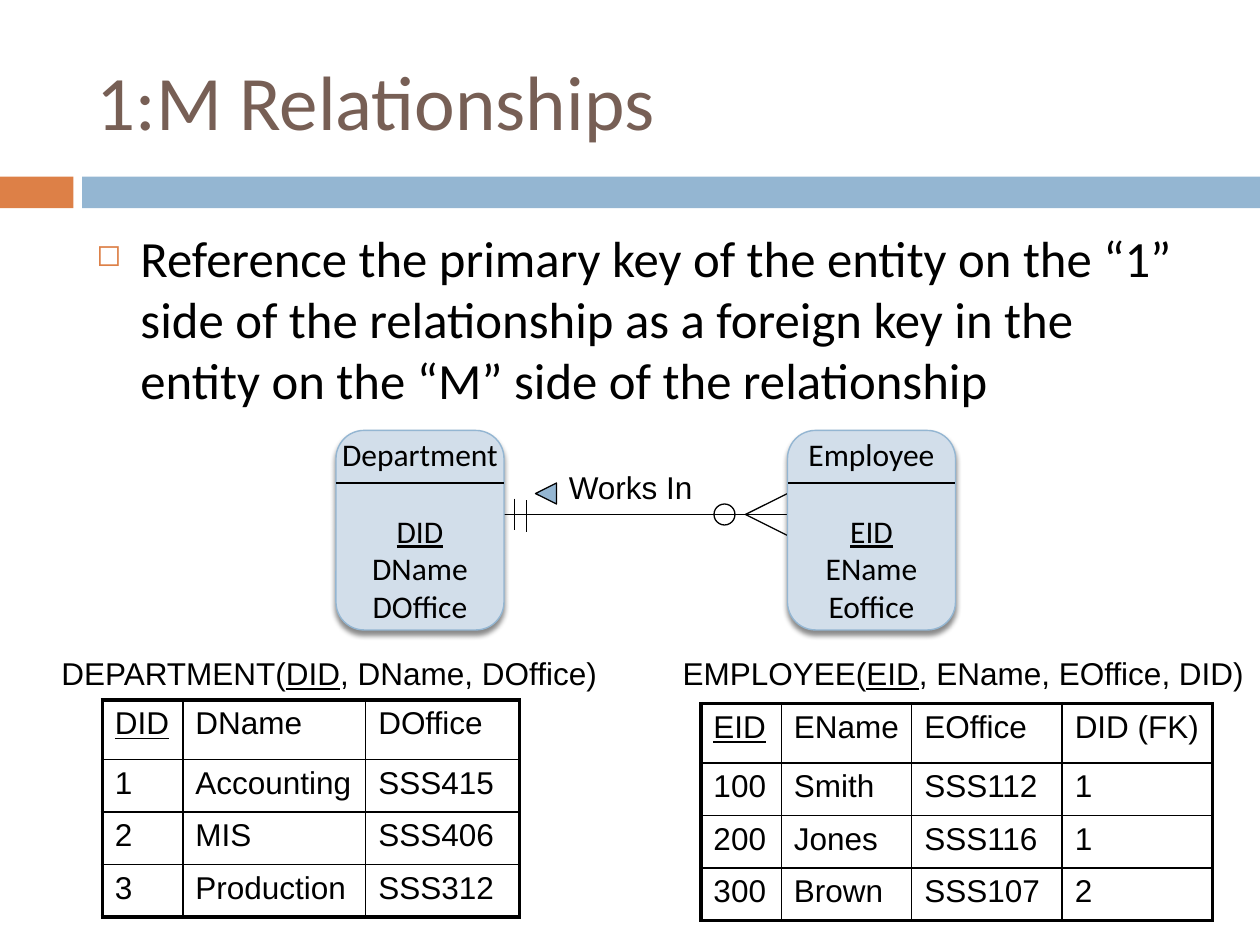
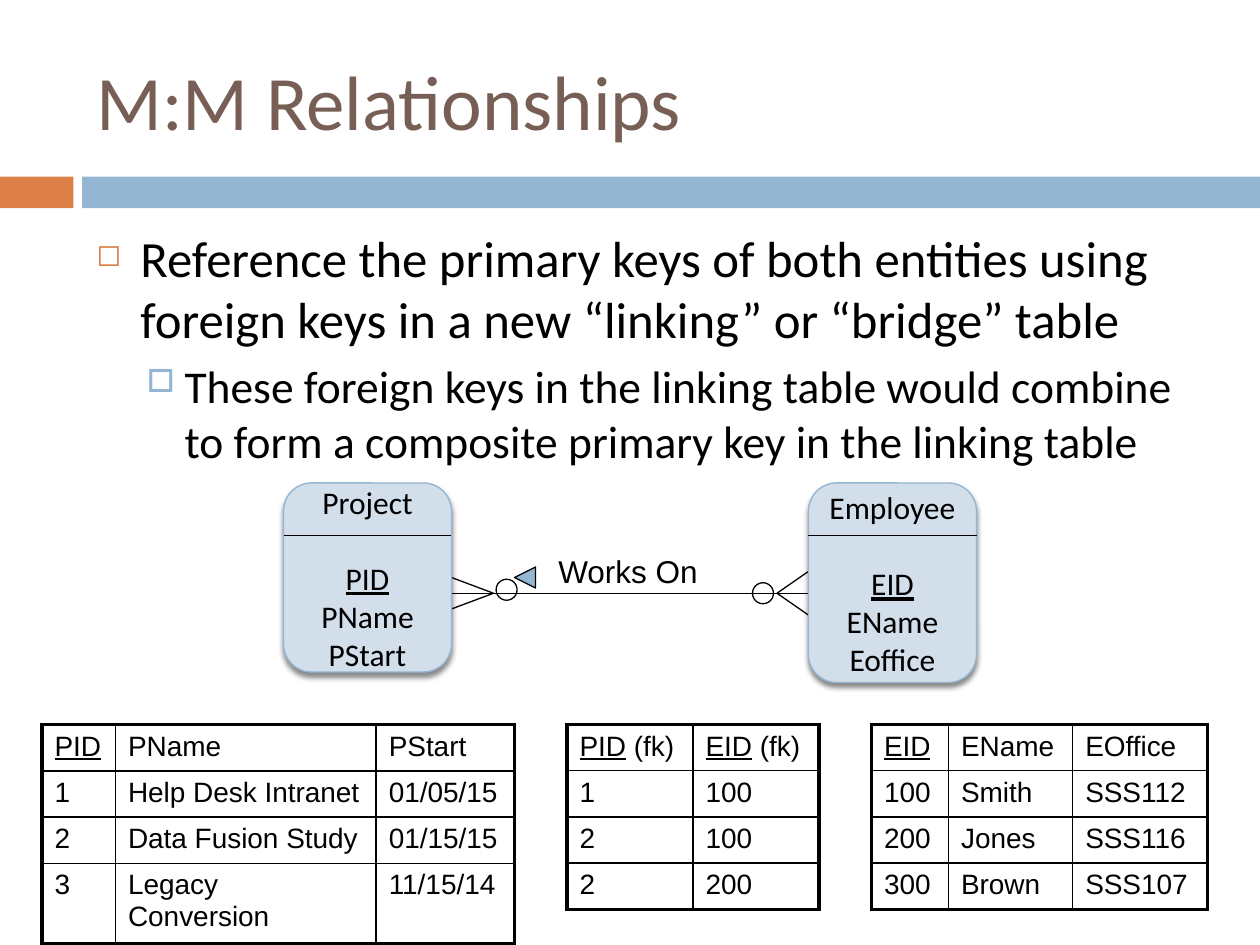
from lxml.etree import SubElement
from pptx import Presentation
from pptx.dml.color import RGBColor
from pptx.enum.shapes import MSO_CONNECTOR, MSO_SHAPE
from pptx.enum.text import MSO_ANCHOR, MSO_AUTO_SIZE, PP_ALIGN
from pptx.oxml import parse_xml
from pptx.oxml.ns import nsdecls, qn
from pptx.util import Pt

COLORS = {
    "title": "775F55",
    "accent": "DD8047",
    "blue": "94B6D2",
    "entity": "D2DEEA",
    "ink": "000000",
    "paper": "FFFFFF",
}
HEADING_FONT = "Calibri"
DATA_FONT = "Arial"
BULLETS = [
    {"char": "◻", "color": "accent", "percent": 60, "left": 25.2, "hang": 25.2, "before": 7, "size": 29},
    {"char": "□", "color": "blue", "percent": 70, "left": 50.4, "hang": 21.6, "before": 5.5, "size": 26},
]


def rgb(name):
    return RGBColor.from_string(COLORS[name])


def points(*values):
    return [Pt(value) for value in values]


class Deck:
    def __init__(self):
        self.prs = Presentation()
        self.prs.slide_width, self.prs.slide_height = points(720, 540)
        self.s = None

    def new_slide(self, title):
        self.s = self.prs.slides.add_slide(self.prs.slide_layouts[5])
        self.shape(MSO_SHAPE.RECTANGLE, 0, 101, 42, 18, "accent")
        self.shape(MSO_SHAPE.RECTANGLE, 47, 101, 673, 18, "blue")
        sp = self.s.shapes.title
        sp.left, sp.top, sp.width, sp.height = points(48, 18, 642, 78)
        tf = sp.text_frame
        tf.auto_size = MSO_AUTO_SIZE.NONE
        tf.vertical_anchor = MSO_ANCHOR.MIDDLE
        tf.paragraphs[0].alignment = PP_ALIGN.LEFT
        self.runs(tf.paragraphs[0], title, 44, HEADING_FONT, "title")

    def runs(self, p, text, size, font, color="ink"):
        for i, part in enumerate(text.split("_")):
            if part:
                r = p.add_run()
                r.text = part
                r.font.size = Pt(size)
                r.font.name = font
                r.font.color.rgb = rgb(color)
                if i % 2:
                    r.font.underline = True

    def shape(self, kind, x, y, w, h, fill=None, line=None, weight=0.75):
        sp = self.s.shapes.add_shape(kind, *points(x, y, w, h))
        sp.shadow.inherit = False
        if fill:
            sp.fill.solid()
            sp.fill.fore_color.rgb = rgb(fill)
        else:
            sp.fill.background()
        if line:
            sp.line.color.rgb = rgb(line)
            sp.line.width = Pt(weight)
        else:
            sp.line.fill.background()
        return sp

    def line(self, x1, y1, x2, y2):
        cxn = self.s.shapes.add_connector(MSO_CONNECTOR.STRAIGHT, *points(x1, y1, x2, y2))
        cxn.line.color.rgb = rgb("ink")
        cxn.line.width = Pt(0.75)
        SubElement(cxn._element.spPr, qn("a:effectLst"))

    def bullets(self, items):
        tf = self.s.shapes.add_textbox(*points(48, 126, 642, 354)).text_frame
        tf.word_wrap = True
        for level, text in enumerate(items):
            style = BULLETS[level]
            p = tf.add_paragraph() if level else tf.paragraphs[0]
            p.level = level
            p.space_before = Pt(style["before"])
            pPr = p._p.get_or_add_pPr()
            pPr.set("marL", str(Pt(style["left"])))
            pPr.set("indent", str(-Pt(style["hang"])))
            color = SubElement(pPr, qn("a:buClr"))
            SubElement(color, qn("a:srgbClr"), val=COLORS[style["color"]])
            SubElement(pPr, qn("a:buSzPct"), val=str(style["percent"] * 1000))
            SubElement(pPr, qn("a:buChar"), char=style["char"])
            self.runs(p, text, style["size"], HEADING_FONT)

    def label(self, x, y, w, text):
        tf = self.s.shapes.add_textbox(*points(x, y, w, 29)).text_frame
        tf.word_wrap = False
        tf.auto_size = MSO_AUTO_SIZE.SHAPE_TO_FIT_TEXT
        self.runs(tf.paragraphs[0], text, 18, DATA_FONT)

    def entity(self, x, y, h, name, attributes):
        sp = self.shape(MSO_SHAPE.ROUNDED_RECTANGLE, x, y, 96, h, "entity", "blue", 0.79)
        effects = sp._element.spPr.find(qn("a:effectLst"))
        effects.append(parse_xml(
            f'<a:outerShdw {nsdecls("a")} blurRad="{Pt(3)}" dist="{Pt(2.4)}" dir="5400000" '
            f'rotWithShape="0"><a:srgbClr val="{COLORS["ink"]}"><a:alpha val="45000"/>'
            '</a:srgbClr></a:outerShdw>'))
        tf = sp.text_frame
        tf.word_wrap = False
        tf.vertical_anchor = MSO_ANCHOR.MIDDLE
        for i, text in enumerate([name, *attributes]):
            p = tf.add_paragraph() if i else tf.paragraphs[0]
            p.alignment = PP_ALIGN.CENTER
            if i == 1:
                p.space_before = Pt(22)
            self.runs(p, text, 18, HEADING_FONT)
        self.line(x, y + 30, x + 96, y + 30)

    def crows_foot(self, tip_x, edge_x, y, spread):
        for end_y in (y - spread, y + spread):
            self.line(tip_x, y, edge_x, end_y)

    def optional_mark(self, x, y):
        self.shape(MSO_SHAPE.OVAL, x, y, 12, 12, line="ink")

    def direction_mark(self, x, y):
        self.shape(MSO_SHAPE.ISOSCELES_TRIANGLE, x, y, 12, 12, "blue", "ink").rotation = 270

    def table(self, x, y, widths, heights, size, rows):
        frame = self.s.shapes.add_table(
            len(rows), len(widths), *points(x, y, sum(widths), sum(heights)))
        table = frame.table
        table.first_row = table.horz_banding = False
        for column, width in zip(table.columns, widths):
            column.width = Pt(width)
        last_row, last_col = len(rows) - 1, len(widths) - 1
        for i, row in enumerate(rows):
            table.rows[i].height = Pt(heights[i])
            for j, text in enumerate(row):
                cell = table.cell(i, j)
                cell.fill.solid()
                cell.fill.fore_color.rgb = rgb("paper")
                self.runs(cell.text_frame.paragraphs[0], text, size, DATA_FONT)
                self.borders(cell, L=j == 0, R=j == last_col, T=i == 0, B=i == last_row)

    def borders(self, cell, **outer_sides):
        tcPr = cell._tc.get_or_add_tcPr()
        for order, (side, outer) in enumerate(outer_sides.items()):
            tcPr.insert(order, parse_xml(
                f'<a:ln{side} {nsdecls("a")} w="{Pt(2.25 if outer else 1)}"><a:solidFill>'
                f'<a:srgbClr val="{COLORS["ink"]}"/></a:solidFill></a:ln{side}>'))


def one_to_many(deck):
    deck.new_slide("1:M Relationships")
    deck.bullets([
        "Reference the primary key of the entity on the “1” side of the relationship "
        "as a foreign key in the entity on the “M” side of the relationship",
    ])
    deck.line(288, 294, 450, 294)
    for x, y in ((294, 285), (301, 286)):
        deck.line(x, y, x, y + 18)
    deck.crows_foot(426, 450, 294, 12)
    deck.optional_mark(408, 288)
    deck.direction_mark(306, 276)
    deck.label(318, 264, 86, "Works In")
    deck.entity(192, 246, 114, "Department", ["_DID_", "DName", "DOffice"])
    deck.entity(450, 246, 114, "Employee", ["_EID_", "EName", "Eoffice"])
    deck.label(28, 370, 323, "DEPARTMENT(_DID_, DName, DOffice)")
    deck.label(383, 370, 336, "EMPLOYEE(_EID_, EName, EOffice, DID)")
    heights = [34, 30, 30, 30]
    deck.table(58.5, 400, [46, 104.5, 88], heights, 18, [
        ["_DID_", "DName", "DOffice"],
        ["1", "Accounting", "SSS415"],
        ["2", "MIS", "SSS406"],
        ["3", "Production", "SSS312"],
    ])
    deck.table(400.5, 402, [46, 74.5, 86, 86], heights, 18, [
        ["_EID_", "EName", "EOffice", "DID (FK)"],
        ["100", "Smith", "SSS112", "1"],
        ["200", "Jones", "SSS116", "1"],
        ["300", "Brown", "SSS107", "2"],
    ])


def many_to_many(deck):
    deck.new_slide("M:M Relationships")
    deck.bullets([
        "Reference the primary keys of both entities using foreign keys "
        "in a new “linking” or “bridge” table",
        "These foreign keys in the linking table would combine to form "
        "a composite primary key in the linking table",
    ])
    deck.line(258, 339, 462, 339)
    deck.crows_foot(282, 258, 339, 9)
    deck.crows_foot(444, 462, 339, 12.5)
    deck.entity(162, 276, 108, "Project", ["_PID_", "PName", "PStart"])
    deck.entity(462, 276, 114, "Employee", ["_EID_", "EName", "Eoffice"])
    deck.label(312, 312, 94, "Works On")
    deck.direction_mark(294, 324)
    deck.optional_mark(283.5, 331)
    deck.optional_mark(430, 333)
    deck.table(24, 414, [42, 149, 79], [26.5] * 4, 16, [
        ["_PID_", "PName", "PStart"],
        ["1", "Help Desk Intranet", "01/05/15"],
        ["2", "Data Fusion Study", "01/15/15"],
        ["3", "Legacy Conversion", "11/15/14"],
    ])
    deck.table(324, 414, [72, 72], [25.2] * 4, 16, [
        ["_PID_ (fk)", "_EID_ (fk)"],
        ["1", "100"],
        ["2", "100"],
        ["2", "200"],
    ])
    deck.table(498, 414, [44, 71, 77], [25.2] * 4, 16, [
        ["_EID_", "EName", "EOffice"],
        ["100", "Smith", "SSS112"],
        ["200", "Jones", "SSS116"],
        ["300", "Brown", "SSS107"],
    ])


def main():
    deck = Deck()
    one_to_many(deck)
    many_to_many(deck)
    deck.prs.save("out.pptx")


if __name__ == "__main__":
    main()
